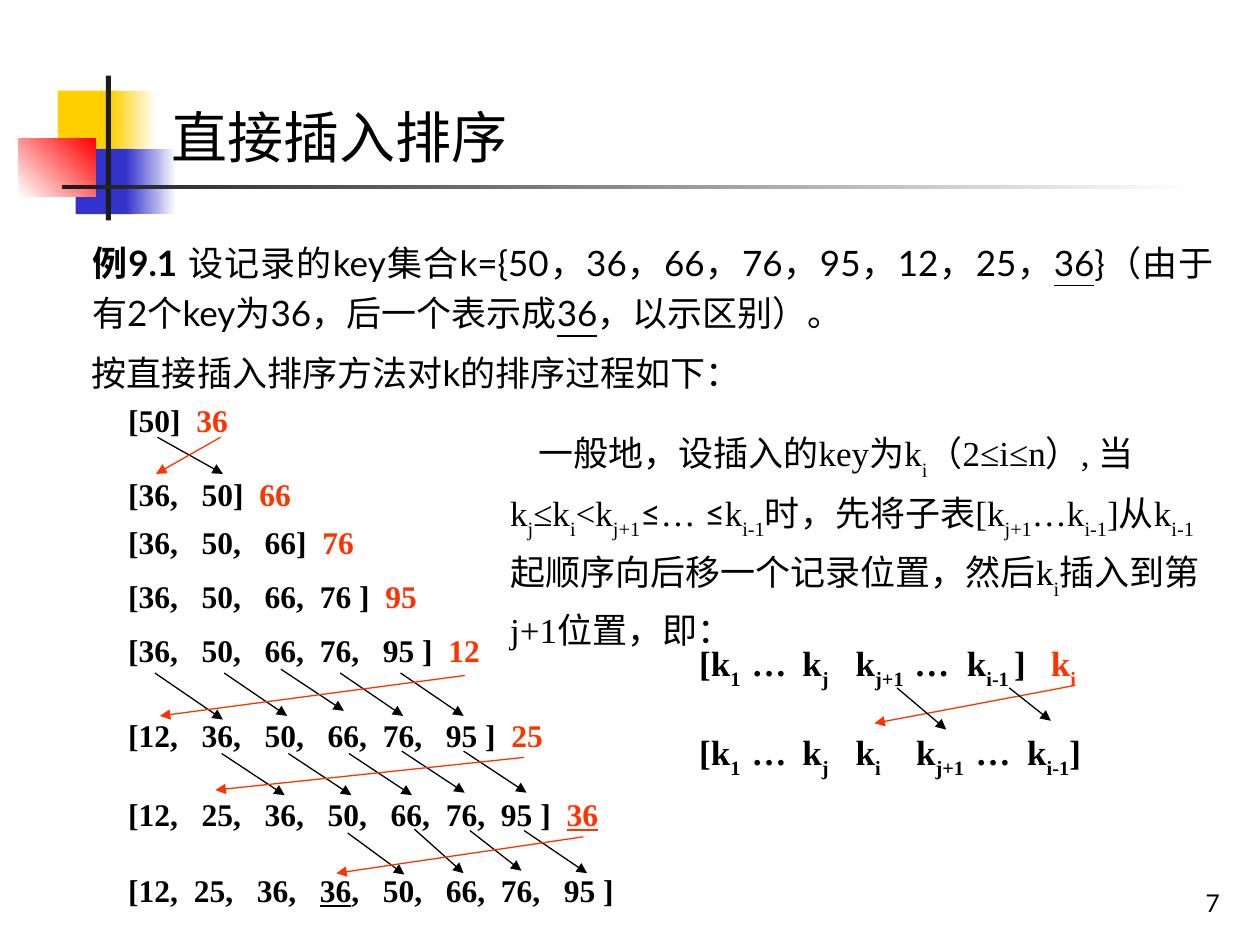
from dataclasses import dataclass
from itertools import accumulate

import pptx
import pptx.dml.color
import pptx.enum.shapes
import pptx.enum.text
import pptx.oxml.ns
import pptx.oxml.xmlchemy
import pptx.util
from lxml import etree

Pt = pptx.util.Pt
RGB = pptx.dml.color.RGBColor.from_string
qn = pptx.oxml.ns.qn
Align = pptx.enum.text.PP_ALIGN
Anchor = pptx.enum.text.MSO_ANCHOR
Fit = pptx.enum.text.MSO_AUTO_SIZE


@dataclass(frozen=True)
class Theme:
    ink: str = "000000"
    accent: str = "FF3300"
    yellow: str = "FFCF01"
    blue: str = "3333CC"
    red: str = "FF0000"
    bar: str = "1C1C1C"
    paper: str = "FFFFFF"
    sans: str = "Lato"
    serif: str = "Times New Roman"
    cjk: str = "Noto Sans CJK JP"
    title: float = 32
    body: float = 20
    step: float = 18
    number: float = 14


T = Theme()
MARKS = "~_^*`"  # subscript, underline, accent colour, bold, sans font

# Distance in points from one number of a step to the next
WIDE, NARROW, CLOSE, END = 36, 31.5, 33, 37.5

# top, width, text, pitches, arrows of moved keys, arrow of the inserted key
STEPS = [
    (0, 102, "[50]\t|^36", [CLOSE],
     [(23.8, 24.5, 61.2, 45.4)], (59.8, 24.5, 23, 45.4)),
    (42.5, 144, "[36,\t50]\t|^66", [WIDE, CLOSE], [], None),
    (69.8, 198, "[36,\t50,\t66]\t|^76", [WIDE, WIDE, CLOSE], [], None),
    (100.8, 252, "[36,\t50,\t66,\t76 ]\t|^95", [WIDE, WIDE, NARROW, END], [], None),
    (131.8, 288, "[36,\t50,\t66,\t76,\t95 ]\t|^12",
     [WIDE, WIDE, NARROW, WIDE, END],
     [(22.3, 27.4, 61.2, 54), (61.9, 27.4, 97.9, 51.9), (94.3, 25.2, 130.3, 49),
      (128.2, 27.4, 164.2, 51.9), (162.7, 27.4, 198.7, 51.9)],
     (199.4, 28.8, 25.2, 51.9)),
    (180, 342, "[12,\t36,\t50,\t66,\t76,\t95 ]\t|^25",
     [WIDE, WIDE, WIDE, NARROW, WIDE, END],
     [(x, y, x + 36, y + 23.8) for x, y in
      [(60.5, 25.2), (98.6, 25.2), (133.2, 25.2), (163.4, 23.8), (198.7, 23.8)]],
     (233.3, 27.4, 56.9, 46.1)),
    (225.4, 378, "[12,\t25,\t36,\t50,\t66,\t76,\t95 ]\t|^_36",
     [WIDE, WIDE, WIDE, WIDE, NARROW, NARROW, END],
     [(132.5, 25.2, 164.9, 49), (170.6, 23, 198.7, 48.2),
      (202.3, 23.8, 231.8, 46.8), (233.3, 23.8, 269.3, 48.2)],
     (267.1, 27.4, 126, 48.2)),
    (268.6, 396, "[12,\t25,\t36,\t|_36|,\t50,\t66,\t76,\t95 ]",
     [NARROW, WIDE, WIDE, WIDE, WIDE, NARROW, WIDE], [], None),
]


def apply(obj, fmt):
    for name, value in fmt.items():
        setattr(obj, name, value)


def place(s, box):
    apply(s, dict(zip(("left", "top", "width", "height"), map(Pt, box))))


def add_runs(p, text, font, size, bold=False):
    """Split text at each bar; the marks that open a part format it."""
    for part in text.split("|"):
        words = part.lstrip(MARKS)
        marks = part[:len(part) - len(words)]
        r = p.add_run()
        r.text = words
        apply(r.font, {"name": T.sans if "`" in marks else font, "size": Pt(size),
                       "bold": bold or "*" in marks, "underline": "_" in marks})
        r.font.color.rgb = RGB(T.accent if "^" in marks else T.ink)
        rPr = r._r.get_or_add_rPr()
        if "~" in marks:
            rPr.set("baseline", "-30000")
        rPr.find(qn("a:latin")).addnext(rPr.makeelement(qn("a:ea"), {"typeface": T.cjk}))


def set_tabs(p, stops):
    tabs = etree.SubElement(p._p.get_or_add_pPr(), qn("a:tabLst"))
    for stop in stops:
        etree.SubElement(tabs, qn("a:tab"), pos=str(int(Pt(stop))), algn="l")


def set_indent(p, first, left=0):
    pPr = p._p.get_or_add_pPr()
    pPr.set("marL", str(int(Pt(left))))
    pPr.set("indent", str(int(Pt(first))))


def prepare(s, box, fit=Fit.SHAPE_TO_FIT_TEXT, anchor=Anchor.TOP):
    """Place a text shape and return its frame."""
    place(s, box)
    tf = s.text_frame
    apply(tf, {"word_wrap": True, "auto_size": fit, "vertical_anchor": anchor})
    return tf


def add_text(slide, box, **options):
    return prepare(slide.shapes.add_textbox(0, 0, 0, 0), box, **options)


def add_arrow(slide, origin, ends, color):
    x, y = origin
    x1, y1, x2, y2 = ends
    s = slide.shapes.add_connector(pptx.enum.shapes.MSO_CONNECTOR.STRAIGHT,
                                   Pt(x + x1), Pt(y + y1), Pt(x + x2), Pt(y + y2))
    s.line.width = Pt(0.75)
    s.line.color.rgb = RGB(color)
    etree.SubElement(s.line._get_or_add_ln(), qn("a:tailEnd"), type="triangle")
    etree.SubElement(s._element.spPr, qn("a:effectLst"))


def add_ornament(slide, box):
    """Draw the coloured squares and bars behind the text."""
    x, y = box[:2]
    parts = [
        ((22.3, 8.6, 34.6, 37.4), [T.yellow], 0),
        ((52.6, 8.6, 25.9, 37.4), [T.yellow, T.paper], 0),
        ((32.4, 41.8, 33.1, 37.4), [T.blue], 0),
        ((61.2, 41.8, 28.8, 37.4), [T.blue, T.paper], 0),
        ((0, 36, 43.9, 33.1), [T.paper, T.red], 45),
        ((49.7, 0, 2.9, 82.8), [T.bar], 0),
        ((24.5, 62.6, 648, 2.2), [T.bar, T.paper], 0),
    ]
    for i, ((left, top, width, height), colors, angle) in enumerate(parts):
        s = slide.shapes.add_shape(pptx.enum.shapes.MSO_SHAPE.RECTANGLE, 0, 0, 0, 0)
        place(s, (x + left, y + top, width, height))
        s.shadow.inherit = False
        s.line.fill.background()
        if len(colors) == 1:
            s.fill.solid()
            s.fill.fore_color.rgb = RGB(colors[0])
        else:
            s.fill.gradient()
            s.fill.gradient_angle = angle
            for stop, color in zip(s.fill.gradient_stops, colors):
                stop.color.rgb = RGB(color)
        slide.shapes._spTree.insert(2 + i, s._element)


def add_title(slide, box):
    p = prepare(slide.shapes.title, box).paragraphs[0]
    apply(p, {"alignment": Align.LEFT, "space_before": Pt(20)})
    add_runs(p, "直接插入排序", T.cjk, T.title)


def add_example(slide, box):
    x, y, width, height = box
    p = prepare(slide.placeholders[1], (x, y, width, 64.8)).paragraphs[0]
    apply(p, {"alignment": Align.JUSTIFY, "line_spacing": 1.2, "space_before": Pt(5)})
    set_indent(p, 0)
    etree.SubElement(p._p.get_or_add_pPr(), qn("a:buNone"))
    add_runs(p, "*例9.1 |设记录的key集合k={50，36，66，76，95，12，25，|_36|}"
                "（由于有2个key为36，后一个表示成|_36|，以示区别）。", T.sans, T.body)
    p = add_text(slide, (x, y + 64.1, width - 10.8, height - 64.1),
                 fit=Fit.NONE).paragraphs[0]
    apply(p, {"alignment": Align.JUSTIFY, "line_spacing": 1.15, "space_before": Pt(5)})
    set_indent(p, -27.4, 27.4)
    add_runs(p, "按直接插入排序方法对k的排序过程如下：", T.sans, T.body)


def add_steps(slide, box):
    x, y = box[:2]
    for top, width, text, pitches, moves, insert in STEPS:
        p = add_text(slide, (x, y + top, width, 28.8)).paragraphs[0]
        p.space_before = Pt(11.2)
        set_tabs(p, list(accumulate(pitches, initial=6))[1:])
        add_runs(p, text, T.serif, T.step, bold=True)
        for ends in moves:
            add_arrow(slide, (x, y + top), ends, T.ink)
        if insert:
            add_arrow(slide, (x, y + top), insert, T.accent)


def add_rule(slide, box):
    p = add_text(slide, box).paragraphs[0]
    apply(p, {"line_spacing": 1.2, "space_before": Pt(5)})
    set_indent(p, 16)
    add_runs(p, "一般地，设插入的key为k|~i|（2≤i≤n）, 当k|~j|≤k|~i|<k|~j+1|`≤|… |`≤|k|~i-1|"
                "时，先将子表[k|~j+1|…k|~i-1|]从k|~i-1|起顺序向后移一个记录位置，"
                "然后k|~i|插入到第j+1位置，即：", T.serif, T.body)


def add_formula(slide, box):
    tf = add_text(slide, box)
    lines = [
        ("[k|~1|\t…\tk|~j|\tk|~j+1|\t…\tk|~i-1 |]\t|^k|^~i", 17.5,
         [30, 59, 89.5, 123, 153, 201]),
        ("[k|~1|\t…\tk|~j|\tk|~i|\tk|~j+1|\t…\tk|~i-1|]", 22.5,
         [30, 59, 89.5, 124, 158, 187.5]),
    ]
    for i, (text, before, stops) in enumerate(lines):
        p = tf.add_paragraph() if i else tf.paragraphs[0]
        p.space_before = Pt(before)
        set_tabs(p, stops)
        add_runs(p, text, T.serif, T.body, bold=True)
    add_arrow(slide, box[:2], (221.8, 28.8, 107.3, 50.4), T.accent)
    for ends in [(120.2, 30.2, 148.3, 54), (184.3, 30.2, 208.1, 49)]:
        add_arrow(slide, box[:2], ends, T.ink)


def add_number(slide, box):
    p = add_text(slide, box, fit=Fit.NONE, anchor=Anchor.BOTTOM).paragraphs[0]
    p.alignment = Align.RIGHT
    add_runs(p, "7", T.sans, T.number)


def main():
    prs = pptx.Presentation()
    apply(prs, {"slide_width": Pt(720), "slide_height": Pt(540)})
    slide = prs.slides.add_slide(prs.slide_layouts[1])
    add_ornament(slide, (10.8, 43.2, 672.5, 82.8))
    add_title(slide, (90.7, 54.7, 629.3, 46.1))
    add_example(slide, (45.4, 129.6, 655.2, 100.8))
    add_steps(slide, (66.2, 225.4, 396, 297.4))
    add_rule(slide, (284.4, 237.6, 414, 138.2))
    add_formula(slide, (392.4, 362.9, 306, 86.4))
    add_number(slide, (554.4, 491.8, 149.8, 36))
    prs.save("out.pptx")


if __name__ == "__main__":
    main()
